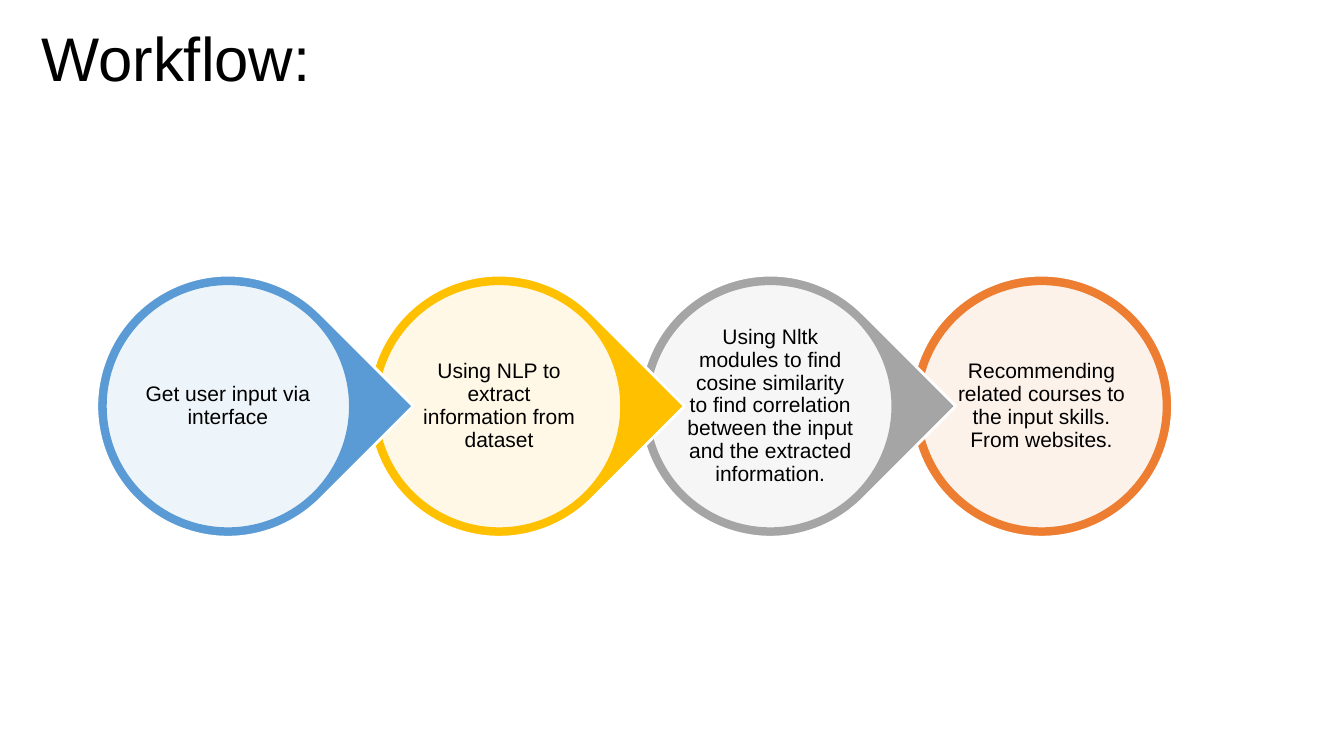
import pptx
import pptx.util
import pptx.dml.color
import pptx.enum.shapes
import pptx.enum.text
import pptx.oxml.ns
import lxml.etree

RGBColor = pptx.dml.color.RGBColor
MSO_SHAPE = pptx.enum.shapes.MSO_SHAPE
PP_ALIGN = pptx.enum.text.PP_ALIGN
Inches = pptx.util.Inches

WHITE = RGBColor(0xFF, 0xFF, 0xFF)
BLACK = RGBColor(0x00, 0x00, 0x00)
BLUE = RGBColor(0x5B, 0x9B, 0xD5)
GOLD = RGBColor(0xFF, 0xC0, 0x00)
GRAY = RGBColor(0xA5, 0xA5, 0xA5)
ORANGE = RGBColor(0xED, 0x7D, 0x31)

SLIDE_W, SLIDE_H = 13.33, 7.5
STEP_SIZE, STEP_PITCH = 2.6, 2.69
DISC_SHARE, TEXT_SHARE = 0.935, 0.665

STEPS = [
    ("Get user input via interface", BLUE),
    ("Using NLP to extract information from dataset", GOLD),
    ("Using Nltk modules to find cosine similarity to find correlation "
     "between the input and the extracted information.", GRAY),
    ("Recommending related courses to the input skills. From websites.", ORANGE),
]


def write_text(tf, text, size=15, align=PP_ALIGN.CENTER, inset=0.02):
    tf.word_wrap = True
    tf.auto_size = pptx.enum.text.MSO_AUTO_SIZE.NONE
    tf.vertical_anchor = pptx.enum.text.MSO_ANCHOR.MIDDLE
    tf.margin_left = tf.margin_right = Inches(inset)
    tf.margin_top = tf.margin_bottom = Inches(inset)
    p = tf.paragraphs[0]
    p.alignment = align
    p.line_spacing = 0.9
    r = p.add_run()
    r.text = text
    r.font.name = "Arial"
    r.font.size = pptx.util.Pt(size)
    r.font.color.rgb = BLACK


def centered_box(x, y, size, share):
    margin = size * (1 - share) / 2
    return [Inches(v) for v in (x + margin, y + margin, size * share, size * share)]


def add_outline(shapes, kind, box, fill, line, alpha=None):
    sp = shapes.add_shape(kind, *box)
    sp.shadow.inherit = False
    sp.fill.solid()
    sp.fill.fore_color.rgb = fill
    sp.line.color.rgb = line
    sp.line.width = pptx.util.Pt(2)
    if alpha is not None:
        color = sp.fill._xPr.find(".//" + pptx.oxml.ns.qn("a:srgbClr"))
        lxml.etree.SubElement(color, pptx.oxml.ns.qn("a:alpha"), val=str(alpha * 1000))
    return sp


def add_step(shapes, x, y, size, text, color, last):
    kind = MSO_SHAPE.OVAL if last else MSO_SHAPE.TEAR
    ring = add_outline(shapes, kind, centered_box(x, y, size, 1), color, WHITE)
    if not last:
        ring.rotation = 45
    add_outline(shapes, MSO_SHAPE.OVAL, centered_box(x, y, size, DISC_SHARE),
                WHITE, color, alpha=90)
    tb = shapes.add_textbox(*centered_box(x, y, size, TEXT_SHARE))
    write_text(tb.text_frame, text)


def add_workflow(s, x, y):
    shapes = s.shapes.add_group_shape().shapes
    last = len(STEPS) - 1
    for i, (text, color) in reversed(list(enumerate(STEPS))):
        add_step(shapes, x + i * STEP_PITCH, y, STEP_SIZE, text, color, i == last)


def add_title(s, x, y, w, h):
    title = s.shapes.title
    title.left, title.top, title.width, title.height = map(Inches, (x, y, w, h))
    write_text(title.text_frame, "Workflow:", size=44, align=PP_ALIGN.LEFT, inset=0)


def main():
    prs = pptx.Presentation()
    prs.slide_width, prs.slide_height = Inches(SLIDE_W), Inches(SLIDE_H)
    s = prs.slides.add_slide(prs.slide_layouts[5])
    s.background.fill.solid()
    s.background.fill.fore_color.rgb = WHITE
    add_title(s, 0.41, 0.22, 11.5, 0.79)
    add_workflow(s, 0.96, 2.73)
    prs.save("out.pptx")


if __name__ == "__main__":
    main()
